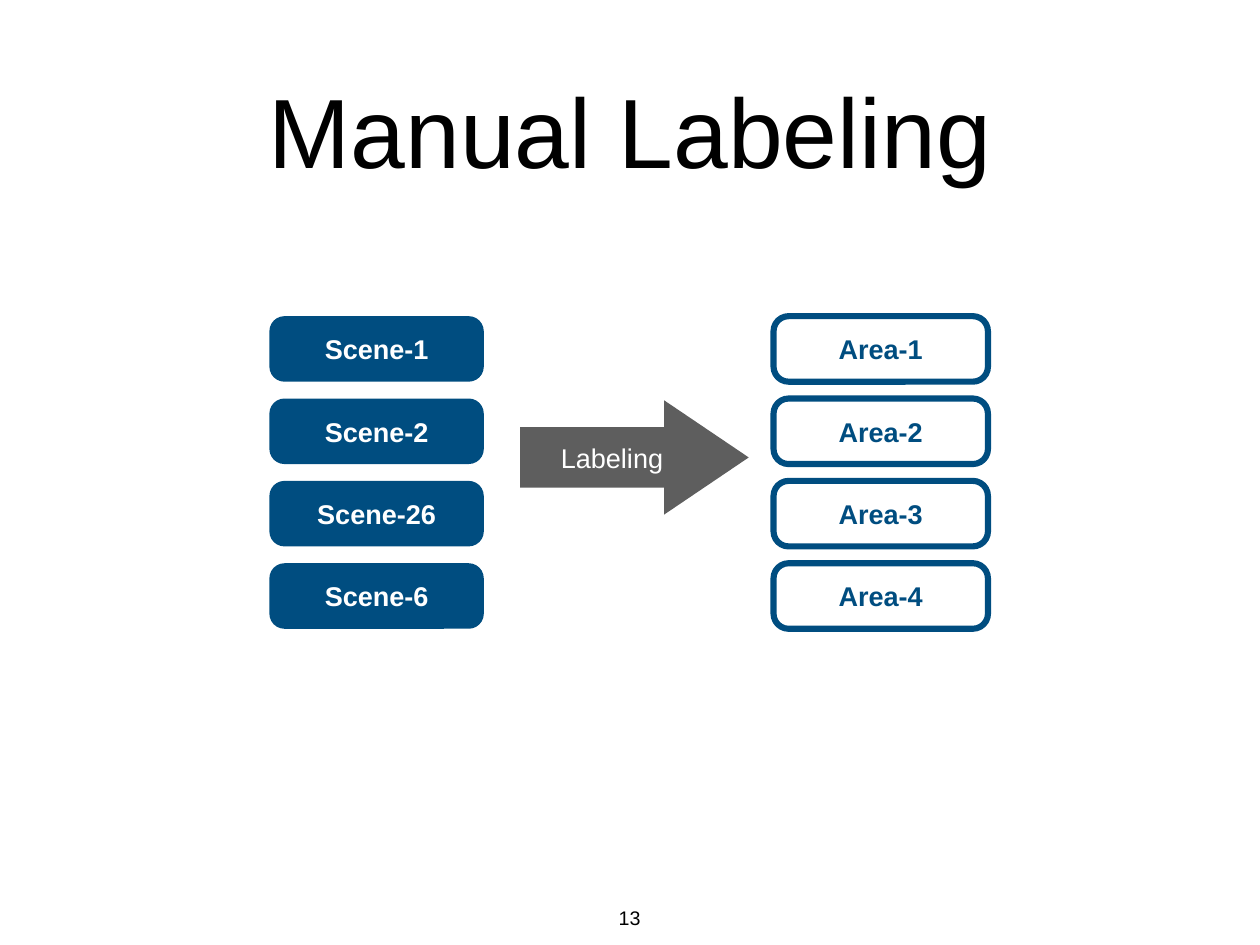
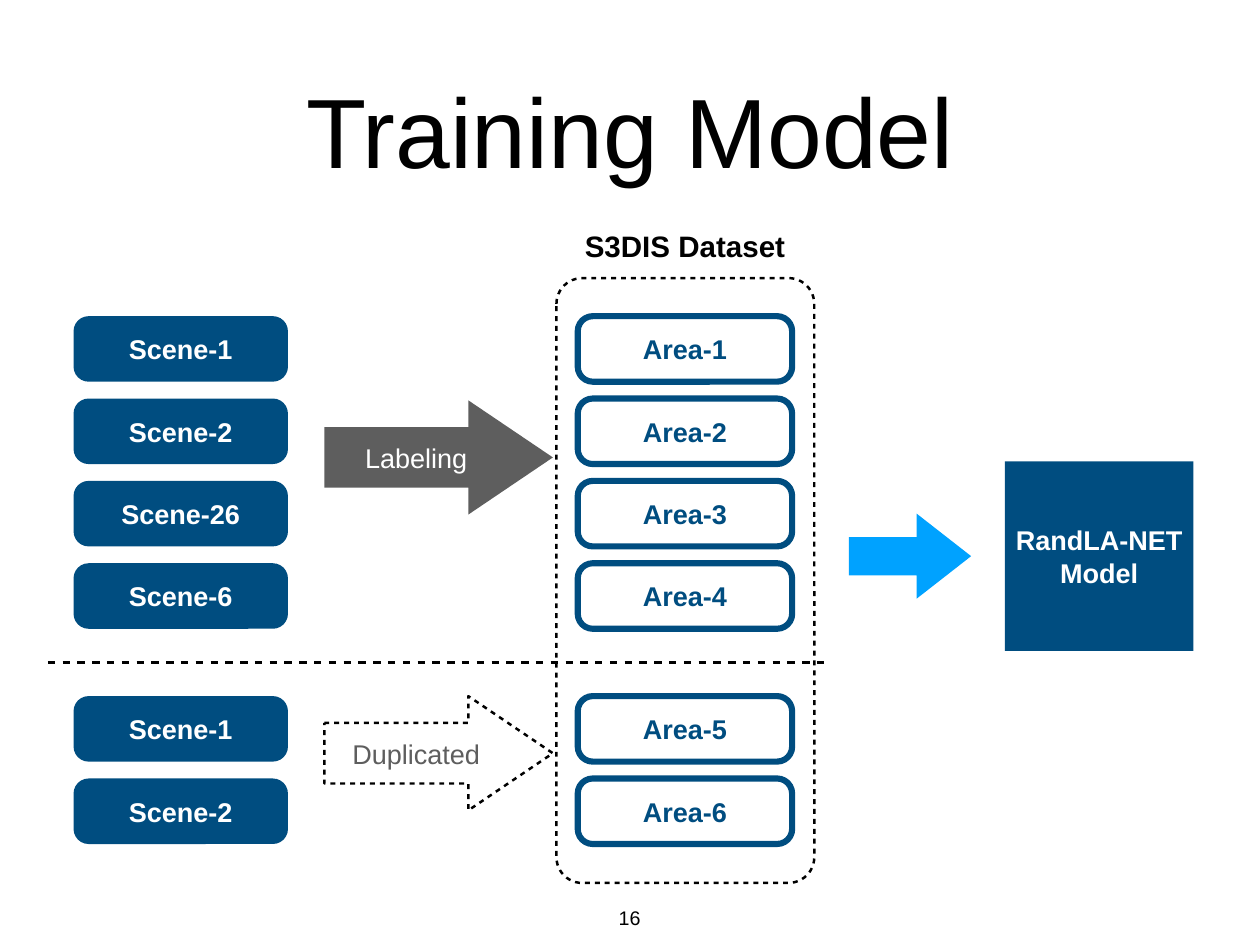
from dataclasses import dataclass

import lxml.etree
import pptx
import pptx.dml.color
import pptx.enum.shapes
import pptx.enum.text
import pptx.oxml
import pptx.oxml.ns
import pptx.presentation
import pptx.shapes.autoshape
import pptx.slide
import pptx.text.text
import pptx.util

Inches = pptx.util.Inches
Shapes = pptx.enum.shapes.MSO_SHAPE
Anchor = pptx.enum.text.MSO_ANCHOR


@dataclass(frozen=True)
class Theme:
    font: str = "Arial"
    black: str = "000000"
    white: str = "FFFFFF"
    navy: str = "004D80"
    gray: str = "5E5E5E"
    sky: str = "00A2FF"
    title_size: int = 80
    heading_size: int = 24
    label_size: int = 22
    number_size: int = 16
    inset: float = 0.06


THEME = Theme()


@dataclass(frozen=True)
class Box:
    left: float
    top: float
    width: float
    height: float


@dataclass(frozen=True)
class Style:
    geometry: pptx.enum.shapes.MSO_SHAPE
    adjustments: tuple[float, ...] = ()
    fill: str | None = None
    line: str | None = None
    line_width: float = 0
    dashed: bool = False
    text_color: str = THEME.white
    bold: bool = False


@dataclass(frozen=True)
class Stage:
    top: float
    arrow_top: float
    arrow_label: str
    arrow_style: Style
    scenes: tuple[str, ...]
    areas: tuple[str, ...]


CARD_WIDTH, CARD_HEIGHT, CARD_PITCH = 2.42, 0.74, 0.93
ARROW_WIDTH, ARROW_HEIGHT = 2.58, 1.29
ARROW_OFFSET, AREA_OFFSET = 2.83, 5.69
ARROW_SHAPE = (0.53, 0.74)

SCENE = Style(Shapes.ROUNDED_RECTANGLE, (0.23,), fill=THEME.navy, bold=True)
AREA = Style(Shapes.ROUNDED_RECTANGLE, (0.23,), line=THEME.navy, line_width=5,
             text_color=THEME.navy, bold=True)
LABELING_ARROW = Style(Shapes.RIGHT_ARROW, ARROW_SHAPE, fill=THEME.gray)
DUPLICATED_ARROW = Style(Shapes.RIGHT_ARROW, ARROW_SHAPE, line=THEME.black,
                         line_width=2, dashed=True, text_color=THEME.gray)
DATASET_FRAME = Style(Shapes.ROUNDED_RECTANGLE, (0.1,), line=THEME.black,
                      line_width=2, dashed=True)
TRAINING_ARROW = Style(Shapes.RIGHT_ARROW, (0.45, 0.64), fill=THEME.sky)
MODEL = Style(Shapes.RECTANGLE, fill=THEME.navy, bold=True)

LABELING = Stage(3.57, 4.52, "Labeling", LABELING_ARROW,
                 ("Scene-1", "Scene-2", "Scene-26", "Scene-6"),
                 ("Area-1", "Area-2", "Area-3", "Area-4"))
DUPLICATION = Stage(7.86, 7.86, "Duplicated", DUPLICATED_ARROW,
                    ("Scene-1", "Scene-2"), ("Area-5", "Area-6"))


def color(value: str) -> pptx.dml.color.RGBColor:
    return pptx.dml.color.RGBColor.from_string(value)


def lengths(box: Box) -> tuple[pptx.util.Length, ...]:
    return tuple(Inches(value) for value in (box.left, box.top, box.width, box.height))


def set_text(frame: pptx.text.text.TextFrame, text: str, size: int, text_color: str,
             bold: bool = False, wrap: bool = True, anchor: Anchor = Anchor.MIDDLE) -> None:
    frame.text = text
    frame.word_wrap = wrap
    frame.auto_size = pptx.enum.text.MSO_AUTO_SIZE.NONE
    frame.vertical_anchor = anchor
    frame.margin_left = frame.margin_right = Inches(THEME.inset)
    frame.margin_top = frame.margin_bottom = Inches(THEME.inset)
    paragraph = frame.paragraphs[0]
    paragraph.alignment = pptx.enum.text.PP_ALIGN.CENTER
    for run in paragraph.runs:
        run.font.name = THEME.font
        run.font.size = pptx.util.Pt(size)
        run.font.bold = bold
        run.font.color.rgb = color(text_color)


def set_line(line: pptx.dml.line.LineFormat, line_color: str, width: float,
             dashed: bool) -> None:
    line.color.rgb = color(line_color)
    line.width = pptx.util.Pt(width)
    if dashed:
        line.dash_style = pptx.enum.dml.MSO_LINE.DASH
        preset = line._ln.find(pptx.oxml.ns.qn("a:prstDash"))
        custom = lxml.etree.Element(pptx.oxml.ns.qn("a:custDash"))
        lxml.etree.SubElement(custom, pptx.oxml.ns.qn("a:ds"), d="200000", sp="200000")
        line._ln.replace(preset, custom)


def add_block(slide: pptx.slide.Slide, box: Box, style: Style, text: str = "") -> None:
    shape = slide.shapes.add_shape(style.geometry, *lengths(box))
    shape.shadow.inherit = False
    for index, value in enumerate(style.adjustments):
        shape.adjustments[index] = value
    if style.fill:
        shape.fill.solid()
        shape.fill.fore_color.rgb = color(style.fill)
    else:
        shape.fill.background()
    if style.line:
        set_line(shape.line, style.line, style.line_width, style.dashed)
    else:
        shape.line.fill.background()
    if text:
        set_text(shape.text_frame, text, THEME.label_size, style.text_color, style.bold)


def add_label(slide: pptx.slide.Slide, box: Box, text: str, size: int,
              bold: bool = False, anchor: Anchor = Anchor.MIDDLE) -> None:
    shape = slide.shapes.add_textbox(*lengths(box))
    set_text(shape.text_frame, text, size, THEME.black, bold, wrap=False, anchor=anchor)


def add_stage(slide: pptx.slide.Slide, left: float, stage: Stage) -> None:
    columns = ((left, stage.scenes, SCENE), (left + AREA_OFFSET, stage.areas, AREA))
    for column_left, names, style in columns:
        for row, name in enumerate(names):
            top = stage.top + row * CARD_PITCH
            add_block(slide, Box(column_left, top, CARD_WIDTH, CARD_HEIGHT), style, name)
    arrow = Box(left + ARROW_OFFSET, stage.arrow_top, ARROW_WIDTH, ARROW_HEIGHT)
    add_block(slide, arrow, stage.arrow_style, stage.arrow_label)


def add_divider(slide: pptx.slide.Slide, left: float, right: float, top: float) -> None:
    connector = slide.shapes.add_connector(
        pptx.enum.shapes.MSO_CONNECTOR.STRAIGHT,
        Inches(left), Inches(top), Inches(right), Inches(top))
    set_line(connector.line, THEME.black, 3, dashed=True)
    lxml.etree.SubElement(connector._element.spPr, pptx.oxml.ns.qn("a:effectLst"))


def add_titled_slide(presentation: pptx.presentation.Presentation, title: str,
                     number: int) -> pptx.slide.Slide:
    slide = presentation.slides.add_slide(presentation.slide_layouts.get_by_name("Title Only"))
    shape = slide.shapes.title
    shape.left, shape.top, shape.width, shape.height = lengths(Box(1.04, 0.28, 12.14, 2.36))
    set_text(shape.text_frame, title, THEME.title_size, THEME.black)
    add_label(slide, Box(6.92, 10.17, 0.37, 0.35), str(number), THEME.number_size,
              anchor=Anchor.TOP)
    return slide


def build_labeling(presentation: pptx.presentation.Presentation) -> None:
    slide = add_titled_slide(presentation, "Manual Labeling", 13)
    add_stage(slide, 3.04, LABELING)


def build_training(presentation: pptx.presentation.Presentation) -> None:
    slide = add_titled_slide(presentation, "Training Model", 16)
    for stage in (LABELING, DUPLICATION):
        add_stage(slide, 0.83, stage)
    add_divider(slide, 0.54, 9.35, 7.48)
    add_block(slide, Box(6.28, 3.14, 2.91, 6.83), DATASET_FRAME)
    add_label(slide, Box(6.52, 2.53, 2.42, 0.5), "S3DIS Dataset", THEME.heading_size, bold=True)
    add_block(slide, Box(9.58, 5.8, 1.38, 0.96), TRAINING_ARROW)
    add_block(slide, Box(11.34, 5.21, 2.13, 2.14), MODEL, "RandLA-NET Model")


def main() -> None:
    presentation = pptx.Presentation()
    presentation.slide_width = Inches(14.22)
    presentation.slide_height = Inches(10.67)
    build_labeling(presentation)
    build_training(presentation)
    presentation.save("out.pptx")


if __name__ == "__main__":
    main()
